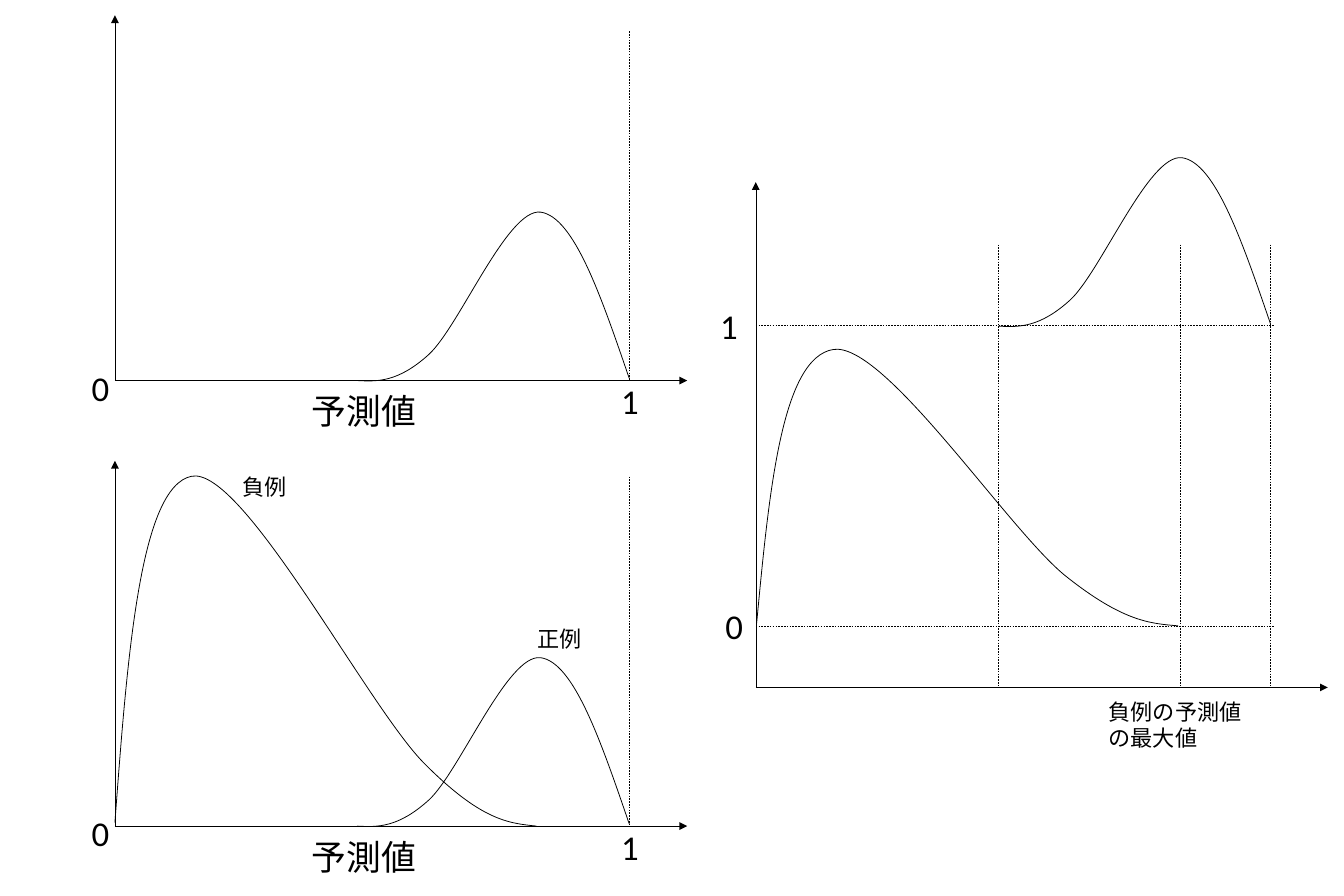
"""Build a slide of prediction-score distributions for positive and negative examples."""
import lxml.etree
import pptx
import pptx.dml.color
import pptx.enum.dml
import pptx.enum.shapes
import pptx.enum.text
import pptx.oxml.ns
import pptx.util

COLORS = {"ink": "000000", "paper": "FFFFFF"}
COLS, ROWS = 60, 40
LARGE, SMALL = 44, 28
BASE, PANEL_GAP = 16.99, 19.89

POSITIVE = [(12.14, 7.42), (10.9, 3.81), (9.68, 0.2), (8.18, 0), (6.71, -0.18),
            (4.57, 5.08), (3.2, 6.35), (1.83, 7.59), (0.91, 7.57), (0, 7.52)]
NEGATIVE = [(0, 15.47), (0.56, 7.98), (1.12, 0.46), (3.43, 0), (5.71, -0.43),
            (11.23, 10.19), (13.79, 12.8), (16.36, 15.39), (17.58, 15.49), (18.82, 15.62)]


class Canvas:
    """Hold the style and the current slide, placing elements on a 60 by 40 grid."""

    def __init__(self, prs, font):
        self.font = font
        self.col = prs.slide_width / COLS
        self.row = prs.slide_height / ROWS
        self.slide = prs.slides.add_slide(prs.slide_layouts[6])
        fill = self.slide.background.fill
        fill.solid()
        fill.fore_color.rgb = self.color("paper")

    def color(self, name):
        return pptx.dml.color.RGBColor.from_string(COLORS[name])

    def at(self, x, y):
        return round(x * self.col), round(y * self.row)

    def stroke(self, sp, width):
        sp.line.color.rgb = self.color("ink")
        sp.line.width = pptx.util.Pt(width)

    def line(self, start, end, dashed=False, arrow=False):
        qn = pptx.oxml.ns.qn
        sp = self.slide.shapes.add_connector(
            pptx.enum.shapes.MSO_CONNECTOR.STRAIGHT, *self.at(*start), *self.at(*end))
        self.stroke(sp, 0.5)
        if dashed:
            sp.line.dash_style = pptx.enum.dml.MSO_LINE.DASH
        sp_pr = sp.element.spPr
        if arrow:
            lxml.etree.SubElement(sp_pr.find(qn("a:ln")), qn("a:tailEnd"),
                                  type="triangle", w="lg", len="lg")
        lxml.etree.SubElement(sp_pr, qn("a:effectLst"))

    def axes(self, x, y, top, right):
        self.line((x, y), (x, top), arrow=True)
        self.line((x, y), (right, y), arrow=True)

    def curve(self, points, left, top, stretch=1):
        """Draw a chain of cubic curves whose joints are every third point."""
        qn = pptx.oxml.ns.qn
        local = [self.at(x, y * stretch) for x, y in points]
        builder = self.slide.shapes.build_freeform(*local[0], scale=1.0)
        builder.add_line_segments(local[3::3], close=False)
        sp = builder.convert_to_shape(*self.at(left, top))
        for i, segment in enumerate(list(sp.element.iter(qn("a:lnTo")))):
            cubic = lxml.etree.Element(qn("a:cubicBezTo"))
            for x, y in local[3 * i + 1:3 * i + 4]:
                lxml.etree.SubElement(cubic, qn("a:pt"), x=str(x), y=str(y))
            segment.getparent().replace(segment, cubic)
        sp.shadow.inherit = False
        sp.fill.background()
        self.stroke(sp, 1)

    def text(self, text, x, y, width, height, size):
        sp = self.slide.shapes.add_textbox(*self.at(x, y), *self.at(width, height))
        tf = sp.text_frame
        tf.word_wrap = True
        tf.auto_size = pptx.enum.text.MSO_AUTO_SIZE.SHAPE_TO_FIT_TEXT
        p = tf.paragraphs[0]
        p.text = text
        p.font.size = pptx.util.Pt(size)
        p.font.name = self.font
        p.font.color.rgb = self.color("ink")

    def number(self, text, x, y):
        self.text(text, x, y, 2.57, 2.13, LARGE)


def score_panel(canvas, base):
    """Draw one left-hand panel standing on the given row."""
    canvas.axes(5.13, base, base - 16.31, 30.68)
    canvas.line((28.1, base - 15.6), (28.1, base), dashed=True)
    canvas.curve(POSITIVE, 15.95, base - 7.52)
    canvas.number("0", 3.84, base - 0.76)
    canvas.number("1", 27.48, base - 0.14)
    canvas.text("予測値", 13.67, base + 0.3, 5.38, 2.13, LARGE)


def stacked_panel(canvas):
    """Draw the right-hand panel with the two curves on separate levels."""
    left, base = 33.74, 30.69
    canvas.axes(left, base, 8.13, 59.28)
    for label, x, level in (("0", 32.13, 27.94), ("1", 31.9, 14.53)):
        canvas.line((left, level), (56.92, level), dashed=True)
        canvas.number(label, x, level - 1.07)
    for x in (44.58, 52.71, 56.72):
        canvas.line((x, 10.92), (x, base), dashed=True)
    canvas.curve(NEGATIVE, 33.78, 15.6, stretch=0.79)
    canvas.curve(POSITIVE, 44.58, 7.04)
    canvas.text("負例の予測値の最大値", 49.25, 31.04, 6.91, 2.64, SMALL)


prs = pptx.Presentation()
prs.slide_width = pptx.util.Inches(23.62)
prs.slide_height = pptx.util.Inches(15.75)
canvas = Canvas(prs, "Calibri")

for base in (BASE, BASE + PANEL_GAP):
    score_panel(canvas, base)
canvas.curve(NEGATIVE, 5.13, 21.26)
for label, x, y in (("負例", 10.57, 21.01), ("正例", 23.75, 27.79)):
    canvas.text(label, x, y, 2.64, 1.45, SMALL)
stacked_panel(canvas)

prs.save("out.pptx")
